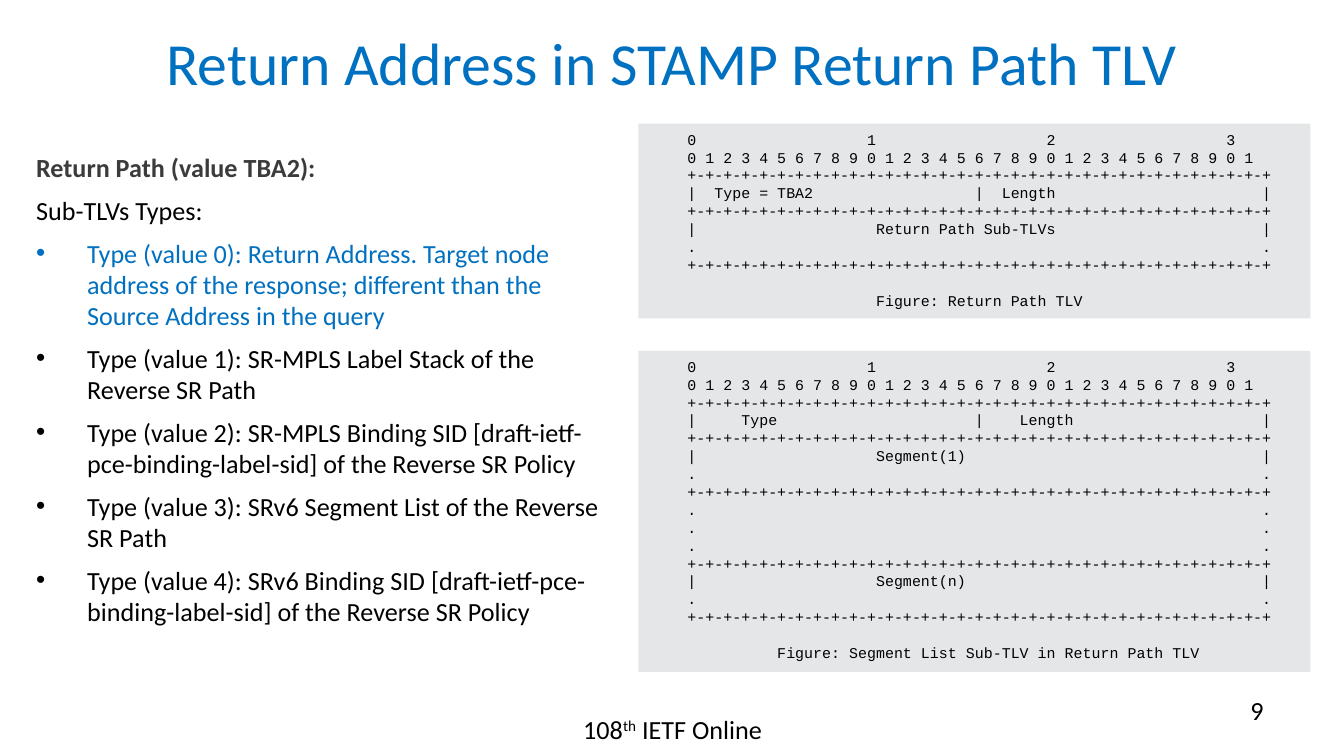
from pptx import Presentation
from pptx.dml.color import RGBColor as RGB
from pptx.enum.shapes import MSO_SHAPE as Form
from pptx.enum.text import MSO_ANCHOR as Anchor, MSO_AUTO_SIZE as Auto, PP_ALIGN as Align
from pptx.util import Inches, Pt
from lxml.etree import SubElement as Sub
from pptx.oxml.ns import qn

HUES = {"blue": "0070C0", "black": "000000", "gray": "3B3B3B", "panel": "E5E6E8"}


class Deck:
    """Holds the style and the current slide."""

    def __init__(self):
        self.prs = Presentation()
        self.prs.slide_width, self.prs.slide_height = Inches(10), Inches(10 * 9 / 16)
        self.slide = self.prs.slides.add_slide(self.prs.slide_layouts[6])

    def style(self, para, size, hue="black", face="Calibri", bold=False):
        for run in para.runs:
            font = run.font
            font.name, font.size, font.bold = face, Pt(size), bold
            font.color.rgb = RGB.from_string(HUES[hue])

    def text(self, box, words, size, hue="black", align=Align.LEFT):
        frame = self.slide.shapes.add_textbox(*map(Inches, box)).text_frame
        frame.word_wrap = True
        frame.text = words
        for para in frame.paragraphs:
            para.alignment = align
            self.style(para, size, hue)
        return frame

    def bullet(self, para):
        props = para._p.get_or_add_pPr()
        props.set("marL", str(Inches(0.38)))
        props.set("indent", str(-Inches(0.38)))
        Sub(props, qn("a:buFont")).set("typeface", "Arial")
        Sub(props, qn("a:buChar")).set("char", "•")

    def panel(self, box, rows, title):
        shape = self.slide.shapes.add_shape(Form.RECTANGLE, *map(Inches, box))
        shape.shadow.inherit = False
        shape.fill.solid()
        shape.fill.fore_color.rgb = RGB.from_string(HUES["panel"])
        shape.line.fill.background()
        frame = shape.text_frame
        frame.word_wrap = True
        frame.auto_size = Auto.SHAPE_TO_FIT_TEXT
        frame.vertical_anchor = Anchor.TOP
        frame.text = "\n".join([*rows, title])
        for para in frame.paragraphs:
            para.alignment = Align.LEFT
            self.style(para, 8, face="Courier New")
        frame.paragraphs[-1].space_before = Pt(9.6)


PAD = " " * 4
RULE = PAD + "+-" * 32 + "+"
DOTS = f"{PAD}.{' ' * 63}."
HEAD = [
    PAD + (" " * 19).join("0123"),
    PAD + " ".join(str(bit % 10) for bit in range(32)),
    RULE,
]


def pair(left, right):
    return f"{PAD}|{left:<31}|{right:<31}|"


def field(name):
    return f"{PAD}|{' ' * 20}{name:<43}|"


TYPES = [
    "Return Address. Target node address of the response; different than the Source Address in the query",
    "SR-MPLS Label Stack of the Reverse SR Path",
    "SR-MPLS Binding SID [draft-ietf-pce-binding-label-sid] of the Reverse SR Policy",
    "SRv6 Segment List of the Reverse SR Path",
    "SRv6 Binding SID [draft-ietf-pce-binding-label-sid] of the Reverse SR Policy",
]


def main():
    deck = Deck()
    title = deck.text((0.25, -0.01, 9.5, 0.94), "Return Address in STAMP Return Path TLV",
                      32, "blue", Align.CENTER)
    title.vertical_anchor = Anchor.MIDDLE

    foot = deck.text((3.42, 5.26, 3.17, 0.39), "108", 14, align=Align.CENTER).paragraphs[0]
    for part in ("th", " IETF Online"):
        foot.add_run().text = part
    deck.style(foot, 14)
    foot.runs[1]._r.get_or_add_rPr().set("baseline", "30000")
    deck.text((7.17, 5.12, 2.33, 0.39), "9", 14, align=Align.RIGHT)

    deck.panel((4.75, 0.92, 5, 1.45),
               [*HEAD, pair("  Type = TBA2", "  Length"), RULE,
                field("Return Path Sub-TLVs"), DOTS, RULE],
               " " * 25 + "Figure: Return Path TLV")

    items = [f"Type (value {num}): {name}" for num, name in enumerate(TYPES)]
    lines = ["Return Path (value TBA2):", "Sub-TLVs Types:", *items]
    paras = deck.text((0.17, 1.08, 4.5, 3.66), "\n".join(lines), 14).paragraphs
    for para in paras[1:]:
        para.space_before = Pt(6)
    for para in paras[2:]:
        deck.bullet(para)
    deck.style(paras[0], 14, "gray", bold=True)
    deck.style(paras[2], 14, "blue")

    deck.panel((4.75, 2.61, 5, 2.39),
               [*HEAD, pair("     Type", "    Length"), RULE,
                field("Segment(1)"), DOTS, RULE, *[DOTS] * 3, RULE,
                field("Segment(n)"), DOTS, RULE],
               " " * 14 + "Figure: Segment List Sub-TLV in Return Path TLV")
    deck.prs.save("out.pptx")


if __name__ == "__main__":
    main()
